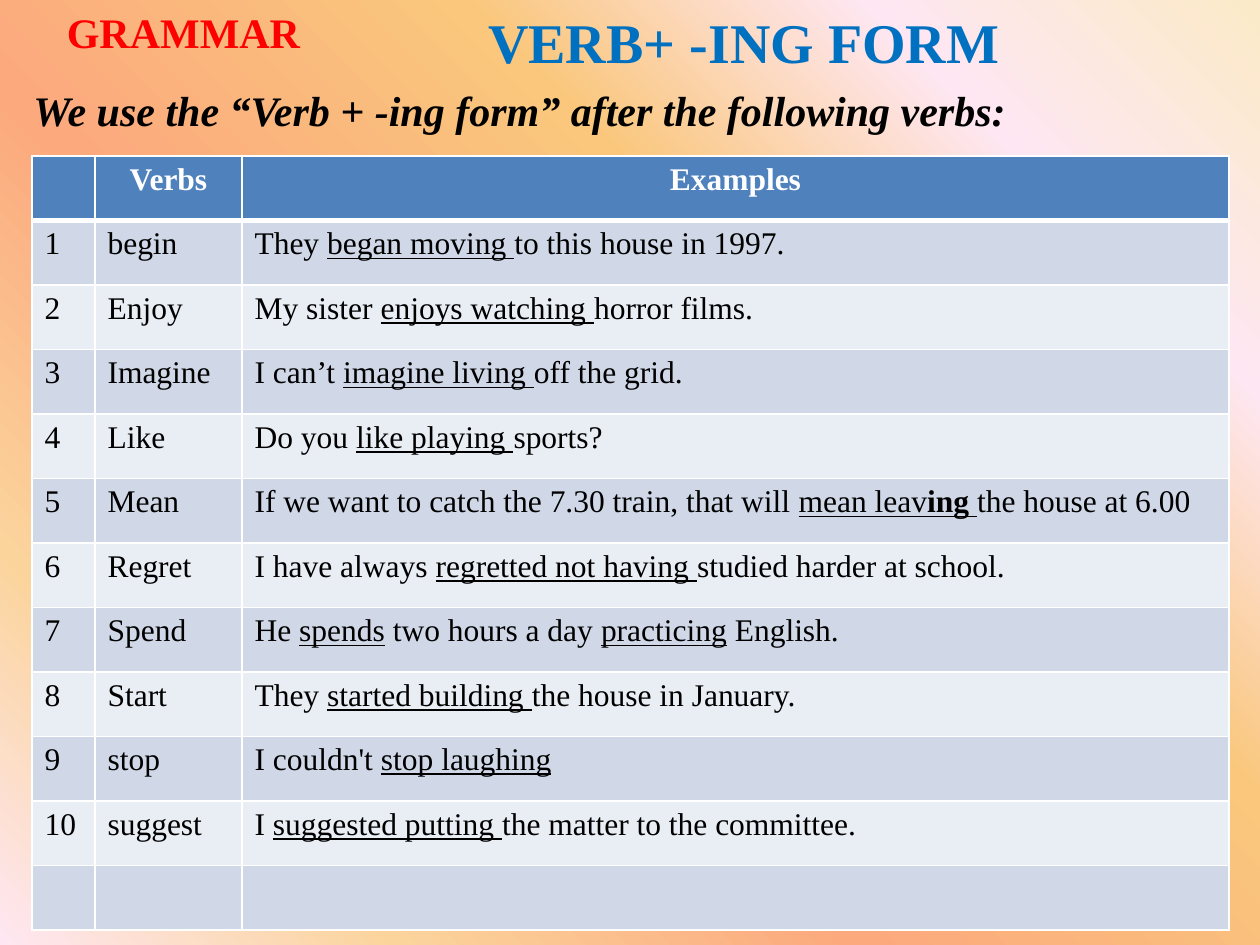
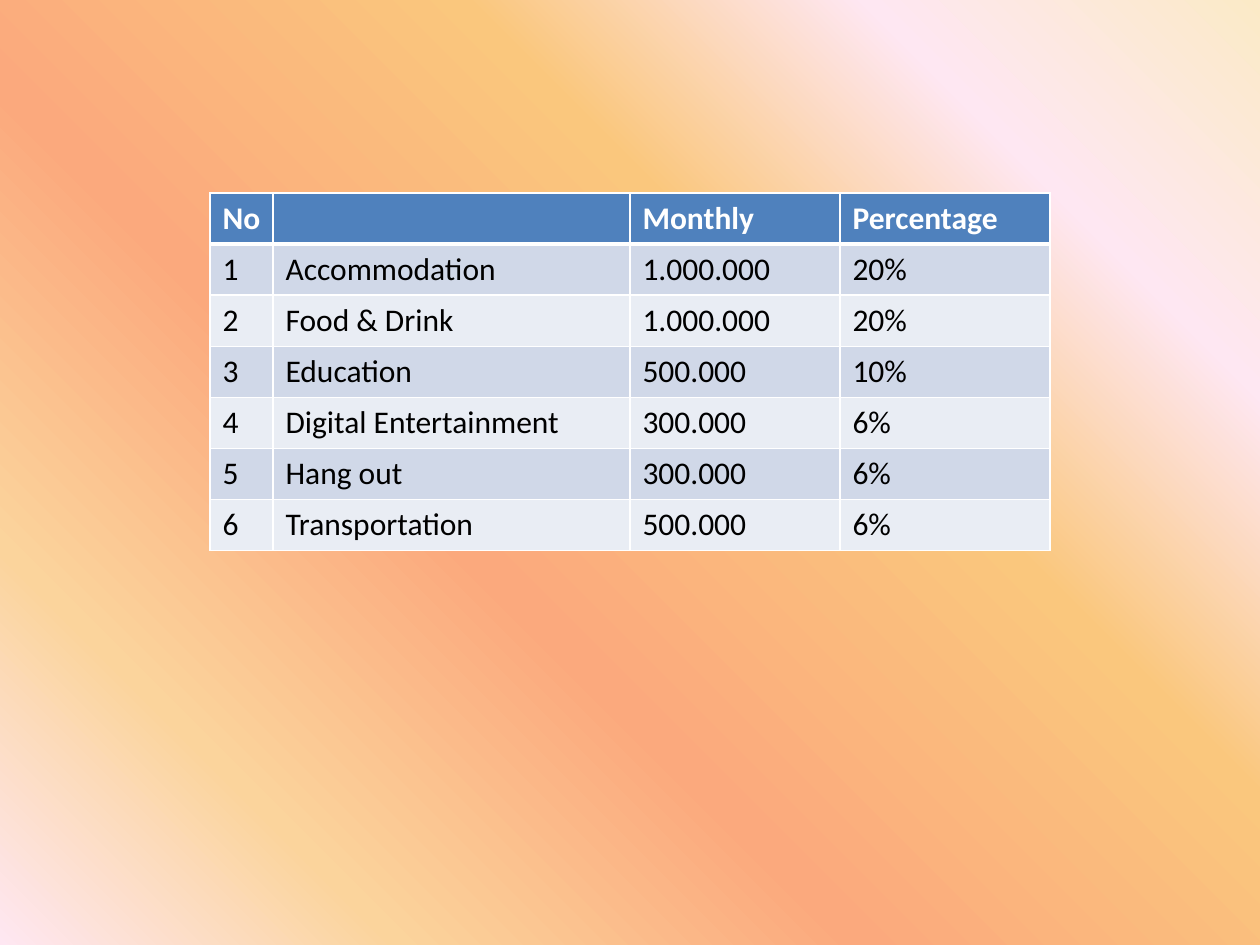
from lxml import etree
from pptx import Presentation
from pptx import util as u
from pptx.dml import color
from pptx.enum import text
from pptx.oxml import ns

SCALE = u.Inches(1) / 126
SERIF, SANS = "Times New Roman", "Calibri"
WHITE, BLACK, RED, BLUE = "FFFFFF", "000000", "FF0000", "0070C0"
HEADER, BANDS = "4F81BD", ("D0D8E8", "E9EDF4")
BACKDROP = ((0, "FBEAC7"), (18, "FEE7F2"), (36, "FAC77D"),
            (61, "FBA97D"), (82, "FBD49C"), (100, "FEE7F2"))

VERBS = [
    ("", "Verbs", "Examples"),
    ("1", "begin", "They _began moving _to this house in 1997."),
    ("2", "Enjoy", "My sister _enjoys watching _horror films."),
    ("3", "Imagine", "I can’t _imagine living _off the grid."),
    ("4", "Like", "Do you _like playing _sports?"),
    ("5", "Mean", "If we want to catch the 7.30 train, that will "
                  "_mean leav*ing* _the house at 6.00"),
    ("6", "Regret", "I have always _regretted not having _studied harder at school."),
    ("7", "Spend", "He _spends_ two hours a day _practicing_ English."),
    ("8", "Start", "They _started building _the house in January."),
    ("9", "stop", "I couldn't _stop laughing_"),
    ("10", "suggest", "I _suggested putting _the matter to the committee."),
    ("", "", ""),
]
BUDGET = [
    ("No", "", "Monthly", "Percentage"),
    ("1", "Accommodation", "1.000.000", "20%"),
    ("2", "Food & Drink", "1.000.000", "20%"),
    ("3", "Education", "500.000", "10%"),
    ("4", "Digital Entertainment", "300.000", "6%"),
    ("5", "Hang out", "300.000", "6%"),
    ("6", "Transportation", "500.000", "6%"),
]


def px(length):
    return u.Emu(round(length * SCALE))


def rgb(value):
    return color.RGBColor.from_string(value)


class Builder:
    """Hold the deck style and the current page, and add elements to it."""

    def __init__(self):
        self.deck = Presentation()
        self.deck.slide_width, self.deck.slide_height = px(1260), px(945)
        self.page = None
        self.paint_backdrop()

    def paint_backdrop(self):
        master = self.deck.slide_master
        fill = master.background.fill
        fill.gradient()
        fill.gradient_angle = 225
        stops = master.element.find(".//" + ns.qn("a:gsLst"))
        for stop in list(stops):
            stops.remove(stop)
        for position, value in BACKDROP:
            stop = etree.SubElement(stops, ns.qn("a:gs"), pos=str(position * 1000))
            etree.SubElement(stop, ns.qn("a:srgbClr"), val=value)

    def add_page(self, layout):
        self.page = self.deck.slides.add_slide(self.deck.slide_layouts[layout])

    def add_spans(self, para, words, size, font, value, bold=False, italic=False, centred=False):
        para.alignment = text.PP_ALIGN.CENTER if centred else text.PP_ALIGN.LEFT
        for i, part in enumerate(words.split("_")):
            for j, piece in enumerate(part.split("*")):
                if not piece:
                    continue
                span = para.add_run()
                span.text = piece
                span.font.name, span.font.size = font, u.Pt(size)
                span.font.color.rgb = rgb(value)
                span.font.bold = bold or j % 2 == 1
                span.font.italic = italic
                span.font.underline = i % 2 == 1

    def fit(self, box, words, size, value, **style):
        frame = box.text_frame
        frame.word_wrap = True
        frame.auto_size = text.MSO_AUTO_SIZE.SHAPE_TO_FIT_TEXT
        frame.vertical_anchor = text.MSO_ANCHOR.TOP
        self.add_spans(frame.paragraphs[0], words, size, SERIF, value, bold=True, **style)

    def add_title(self, words, left, top, width, height):
        box = self.page.shapes.title
        box.left, box.top, box.width, box.height = map(px, (left, top, width, height))
        self.fit(box, words, 32, BLUE, centred=True)

    def add_text(self, words, left, top, width, height, value, **style):
        box = self.page.shapes.add_textbox(*map(px, (left, top, width, height)))
        self.fit(box, words, 24, value, **style)

    def add_borders(self, cell, row):
        properties = cell._tc.get_or_add_tcPr()
        thick = {0: "lnB", 1: "lnT"}.get(row)
        for side in ("lnL", "lnR", "lnT", "lnB"):
            points = 3 if side == thick else 1
            line = etree.SubElement(properties, ns.qn("a:" + side), w=str(u.Pt(points)))
            paint = etree.SubElement(line, ns.qn("a:solidFill"))
            etree.SubElement(paint, ns.qn("a:srgbClr"), val=WHITE)

    def add_table(self, rows, left, top, widths, height, font, centred_header=False):
        table = self.page.shapes.add_table(
            len(rows), len(widths), *map(px, (left, top, sum(widths), height))).table
        for column, width in zip(table.columns, widths):
            column.width = px(width)
        for r, row in enumerate(rows):
            header = r == 0
            for c, words in enumerate(row):
                cell = table.cell(r, c)
                self.add_borders(cell, r)
                cell.fill.solid()
                cell.fill.fore_color.rgb = rgb(HEADER if header else BANDS[(r - 1) % 2])
                self.add_spans(cell.text_frame.paragraphs[0], words, 18, font,
                               WHITE if header else BLACK, bold=header,
                               centred=header and centred_header)


def main():
    builder = Builder()

    builder.add_page(5)
    builder.add_text("GRAMMAR", 21, 0, 325, 63, RED, centred=True)
    builder.add_title("VERB+ -ING FORM", 335, 1, 818, 81)
    builder.add_text("We use the “Verb + -ing form” after the following verbs:",
                     21, 78, 1229, 63, BLACK, italic=True)
    builder.add_table(VERBS, 32, 156, (63, 147, 987), 774, SERIF, centred_header=True)

    builder.add_page(6)
    builder.add_table(BUDGET, 210, 193, (63, 357, 210, 210), 358, SANS)

    builder.deck.save("out.pptx")


if __name__ == "__main__":
    main()
